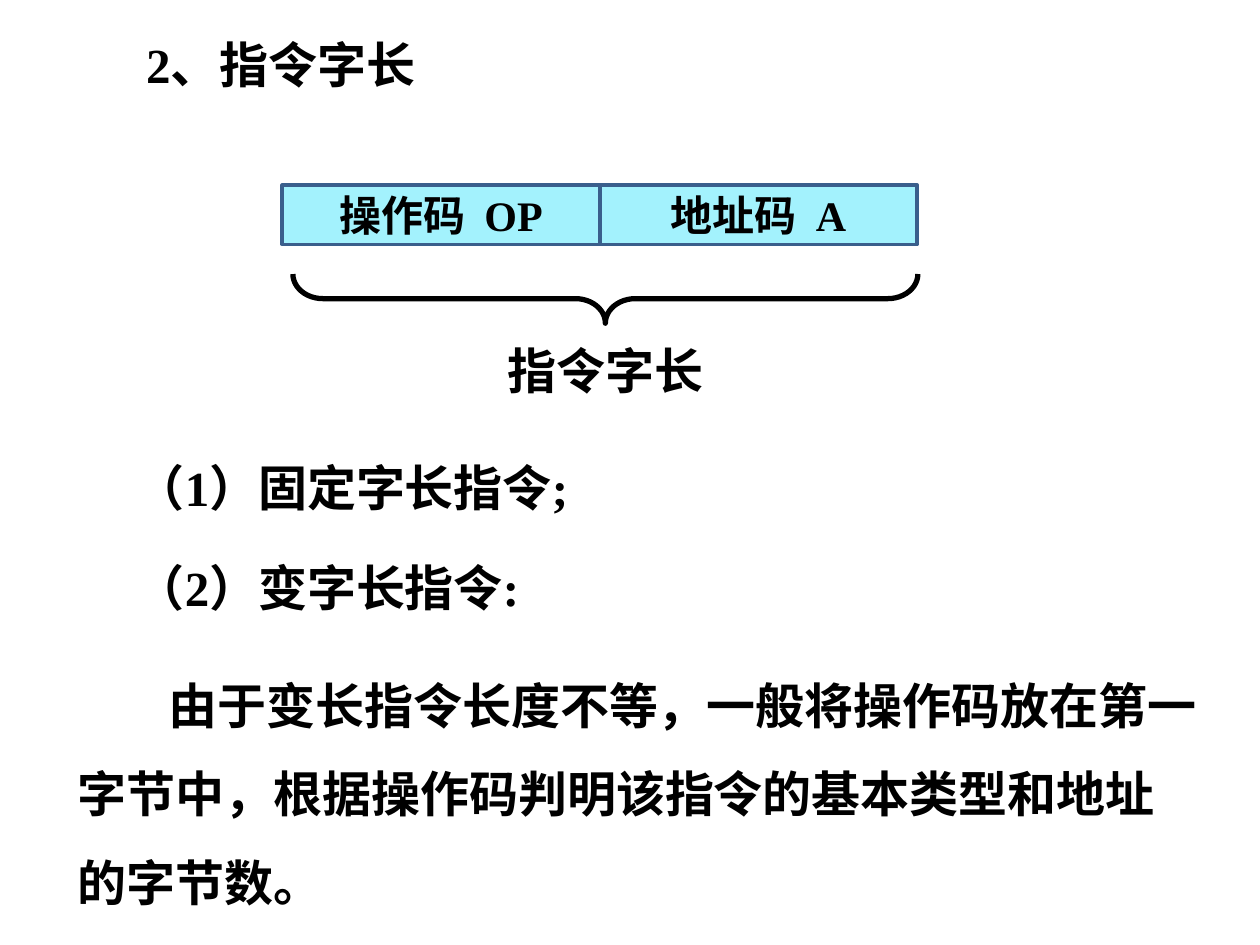
from pptx import Presentation
from pptx import util as u
from pptx.dml.color import RGBColor
from pptx.enum import shapes, text

BLACK = RGBColor(0x00, 0x00, 0x00)
CYAN = RGBColor(0xA3, 0xF2, 0xFD)
BLUE = RGBColor(0x3A, 0x5F, 0x8C)

TITLE = "2、指令字长"
FIELDS = ["操作码  OP", "地址码  A"]
BRACE_LABEL = "指令字长"
KINDS = ["（1）固定字长指令;", "（2）变字长指令:"]
EXPLANATION = "由于变长指令长度不等，一般将操作码放在第一字节中，根据操作码判明该指令的基本类型和地址的字节数。"

FIELD_LEFT, FIELD_TOP, FIELD_WIDTH, FIELD_HEIGHT = 2.24, 1.47, 2.52, 0.47
KIND_TOP, KIND_STEP = 3.75, 0.79
FONT = {"name": "Times New Roman", "bold": True}
KIND_FORMAT = {"line_spacing": 0.6, "space_before": u.Pt(14)}


def place(shape, left, top, width, height):
    box = {"left": left, "top": top, "width": width, "height": height}
    for name, value in box.items():
        setattr(shape, name, u.Inches(value))


def write(shape, content, size=28, wrap=True, anchor=text.MSO_ANCHOR.TOP, **formats):
    frame = shape.text_frame
    frame.text = content
    frame.auto_size = text.MSO_AUTO_SIZE.NONE
    frame.word_wrap = wrap
    frame.vertical_anchor = anchor
    paragraph = frame.paragraphs[0]
    for name, value in {"alignment": text.PP_ALIGN.LEFT, **formats}.items():
        setattr(paragraph, name, value)
    font = paragraph.runs[0].font
    for name, value in {**FONT, "size": u.Pt(size)}.items():
        setattr(font, name, value)
    font.color.rgb = BLACK
    return paragraph


def add_text(slide, content, box, **formats):
    shape = slide.shapes.add_textbox(*map(u.Inches, box))
    return write(shape, content, **formats)


def add_outlined(slide, kind, box, color, weight):
    shape = slide.shapes.add_shape(kind, *map(u.Inches, box))
    shape.shadow.inherit = False
    shape.line.color.rgb = color
    shape.line.width = u.Pt(weight)
    return shape


def main():
    presentation = Presentation()
    presentation.slide_width = u.Inches(10)
    presentation.slide_height = u.Inches(7.5)
    slide = presentation.slides.add_slide(presentation.slide_layouts[5])

    title = slide.shapes.title
    place(title, 1.06, 0.22, 2.37, 0.57)
    write(title, TITLE)

    for index, field in enumerate(FIELDS):
        box = (FIELD_LEFT + index * FIELD_WIDTH, FIELD_TOP, FIELD_WIDTH, FIELD_HEIGHT)
        cell = add_outlined(slide, shapes.MSO_SHAPE.RECTANGLE, box, BLUE, 2)
        cell.fill.solid()
        cell.fill.fore_color.rgb = CYAN
        write(cell, field, size=24, anchor=text.MSO_ANCHOR.MIDDLE,
              alignment=text.PP_ALIGN.CENTER)

    brace = add_outlined(slide, shapes.MSO_SHAPE.LEFT_BRACE, (4.61, -0.11, 0.39, 4.96), BLACK, 3)
    brace.fill.background()
    brace.rotation = 270
    brace.adjustments[0] = 0.61
    brace.adjustments[1] = 0.5
    add_text(slide, BRACE_LABEL, (3.93, 2.65, 1.78, 0.57), wrap=False)

    for index, kind in enumerate(KINDS):
        add_text(slide, kind, (0.98, KIND_TOP + index * KIND_STEP, 6.22, 0.38), **KIND_FORMAT)

    explanation = add_text(slide, EXPLANATION, (0.52, 5.08, 9.12, 2.22), line_spacing=1.5)
    explanation._p.get_or_add_pPr().set("indent", str(u.Inches(0.72)))

    presentation.save("out.pptx")


if __name__ == "__main__":
    main()
